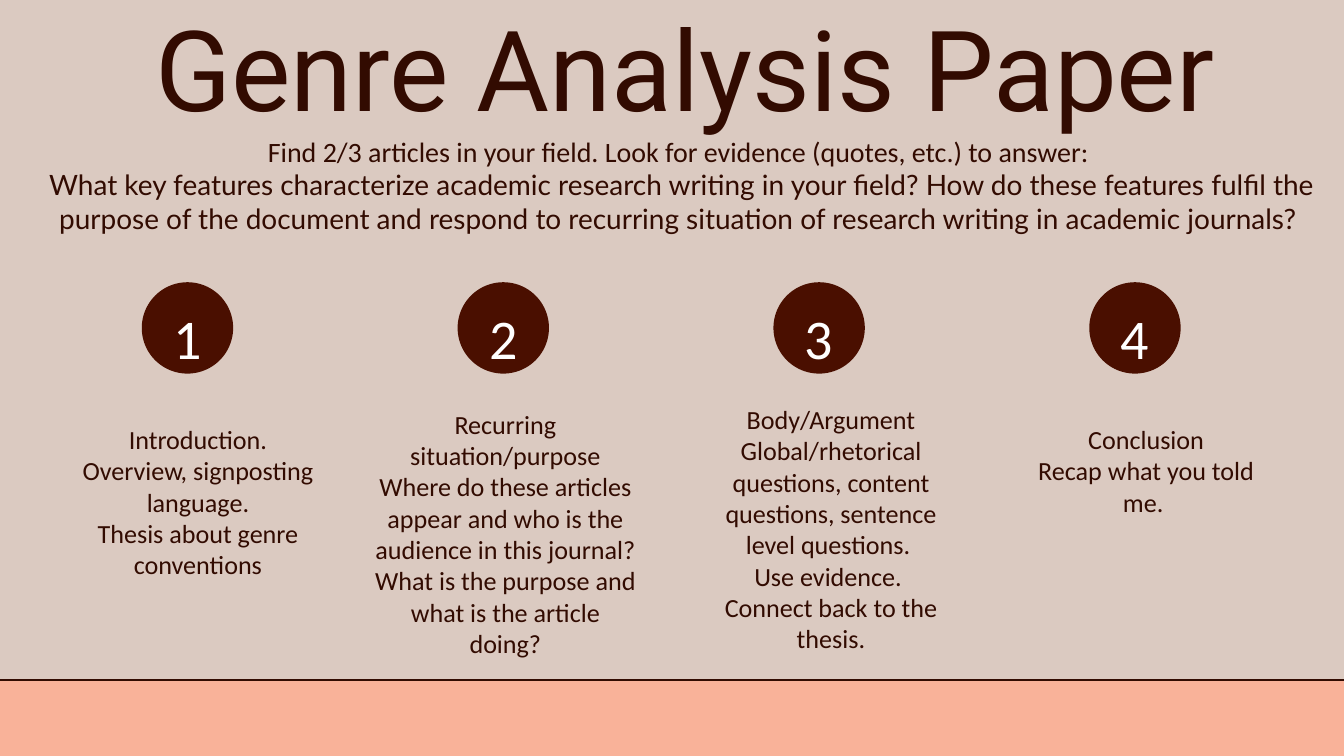
import pptx
import pptx.dml.color
import pptx.enum.shapes
import pptx.enum.text
import pptx.util
from lxml import etree
from pptx.oxml.ns import qn

Inches = pptx.util.Inches
Pt = pptx.util.Pt
RGBColor = pptx.dml.color.RGBColor

BACKGROUND = RGBColor(0xDB, 0xCA, 0xC1)
BAND = RGBColor(0xF9, 0xB2, 0x99)
DARK = RGBColor(0x32, 0x0B, 0x01)
CIRCLE = RGBColor(0x4A, 0x0F, 0x00)
WHITE = RGBColor(0xFF, 0xFF, 0xFF)

FRAME_FORMAT = {
    "word_wrap": True,
    "auto_size": pptx.enum.text.MSO_AUTO_SIZE.NONE,
    "vertical_anchor": pptx.enum.text.MSO_ANCHOR.TOP,
    "margin_left": 0,
    "margin_right": 0,
    "margin_top": 0,
    "margin_bottom": 0,
}

CIRCLE_LEFT = 2.11
CIRCLE_TOP = 4.2
CIRCLE_SIZE = 1.36
STEP_PITCH = 4.7

STEPS = [
    ((1.12, 6.3, 3.65, 2.76), [
        "Introduction.",
        "Overview, signposting language.",
        "Thesis about genre conventions",
    ]),
    ((5.54, 6.07, 3.96, 3.81), [
        "Recurring situation/purpose",
        "Where do these articles appear and who is the audience in this journal? "
        "What is the purpose and what is the article doing?",
    ]),
    ((10.54, 6, 3.65, 3.68), [
        "Body/Argument",
        "Global/rhetorical questions, content questions, sentence level questions. ",
        "Use evidence. ",
        "Connect back to the thesis.",
    ]),
    ((15.23, 6.3, 3.65, 1.39), [
        "Conclusion",
        "Recap what you told me. ",
    ]),
]


def set_attributes(target, values):
    for name, value in values.items():
        setattr(target, name, value)


def place(shape, box):
    names = ("left", "top", "width", "height")
    set_attributes(shape, dict(zip(names, map(Inches, box))))


def write_paragraph(paragraph, text, font_name, size, line_height, color):
    properties = paragraph._p.get_or_add_pPr()
    set_attributes(paragraph, {
        "alignment": pptx.enum.text.PP_ALIGN.CENTER,
        "line_spacing": Pt(line_height),
        "space_before": Pt(0),
    })
    properties.set("marL", "0")
    properties.set("indent", "0")
    etree.SubElement(properties, qn("a:buNone"))
    run = paragraph.add_run()
    run.text = text
    set_attributes(run.font, {"name": font_name, "size": Pt(size)})
    run.font.color.rgb = color


def write_text(shape, lines, size, line_height, color=DARK):
    frame = shape.text_frame
    set_attributes(frame, FRAME_FORMAT)
    for index, (text, font_name) in enumerate(lines):
        paragraph = frame.add_paragraph() if index else frame.paragraphs[0]
        write_paragraph(paragraph, text, font_name, size, line_height, color)


def add_text(slide, box, lines, size, line_height, color=DARK):
    shape = slide.shapes.add_textbox(*map(Inches, box))
    write_text(shape, lines, size, line_height, color)


def add_filled_shape(slide, kind, box, fill):
    shape = slide.shapes.add_shape(kind, *map(Inches, box))
    shape.shadow.inherit = False
    shape.fill.solid()
    shape.fill.fore_color.rgb = fill
    shape.line.fill.background()
    return shape


def add_band(slide):
    band = add_filled_shape(
        slide, pptx.enum.shapes.MSO_SHAPE.RECTANGLE, (-0.83, 10.12, 21.33, 6.25), BAND)
    band.line.color.rgb = DARK
    band.line.width = Pt(3)


def add_step(slide, number, box, texts):
    left = CIRCLE_LEFT + (number - 1) * STEP_PITCH
    add_filled_shape(
        slide, pptx.enum.shapes.MSO_SHAPE.OVAL,
        (left, CIRCLE_TOP, CIRCLE_SIZE, CIRCLE_SIZE), CIRCLE)
    add_text(slide, (left, 4.21, CIRCLE_SIZE, 1.17), [(str(number), "Calibri")], 60, 94.2, WHITE)
    add_text(slide, box, [(text, "Calibri") for text in texts], 28, 33.6)


def main():
    presentation = pptx.Presentation()
    set_attributes(presentation, {"slide_width": Inches(20), "slide_height": Inches(11.25)})
    slide = presentation.slides.add_slide(presentation.slide_layouts[1])
    slide.background.fill.solid()
    slide.background.fill.fore_color.rgb = BACKGROUND

    title, body = slide.placeholders
    place(title, (0.39, 0, 19.61, 2))
    write_text(title, [("Genre Analysis Paper", "Roboto")], 120, 144)
    place(body, (0.34, 2, 19.61, 2.02))
    write_text(body, [
        ("Find 2/3 articles in your field. Look for evidence (quotes, etc.) to answer: ", "Calibri"),
        ("What key features characterize academic research writing in your field? "
         "How do these features fulfil the purpose of the document and respond to "
         "recurring situation of research writing in academic journals? ", "Lato"),
    ], 30, 36)

    add_band(slide)
    for number, (box, texts) in enumerate(STEPS, 1):
        add_step(slide, number, box, texts)
    presentation.save("out.pptx")


if __name__ == "__main__":
    main()
